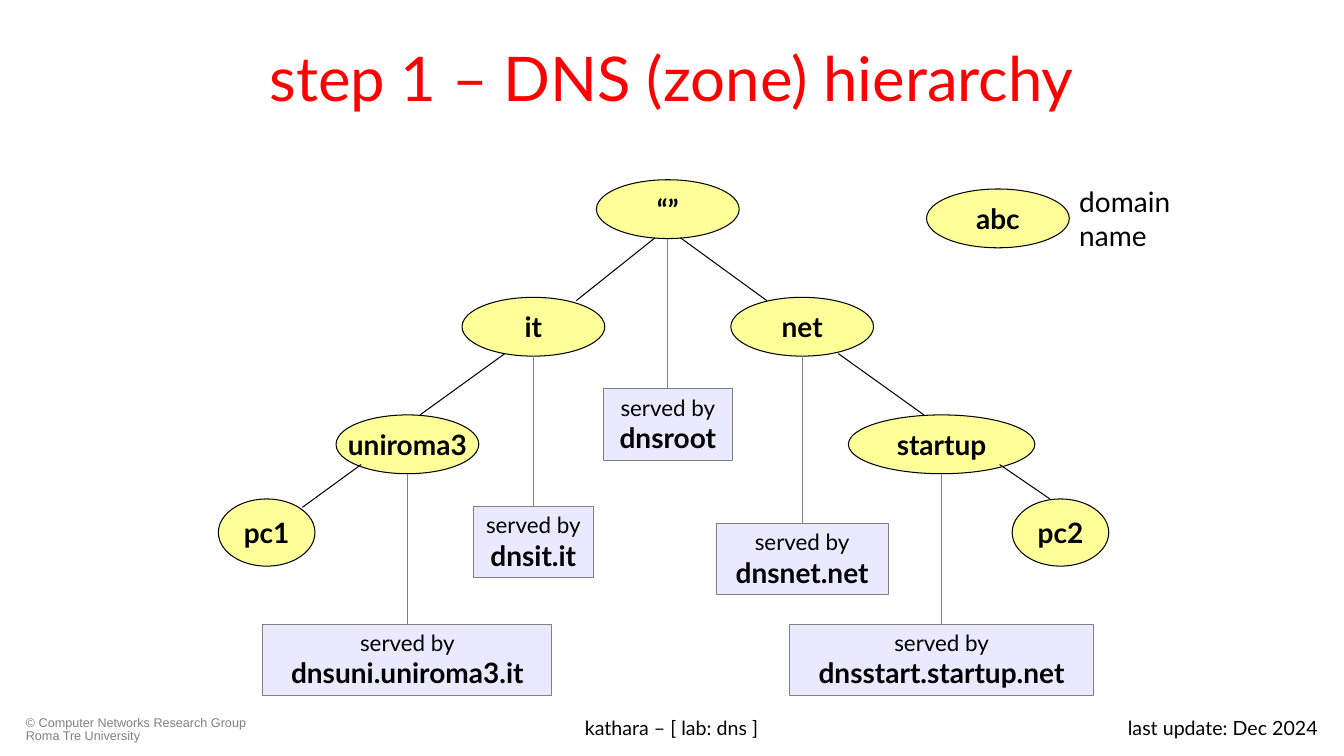
import pptx
import pptx.util
import pptx.dml.color
import pptx.enum.shapes
import pptx.enum.text
import pptx.oxml.ns
import lxml.etree

SHAPE = pptx.enum.shapes.MSO_SHAPE
ALIGN = pptx.enum.text.PP_ALIGN
ANCHOR = pptx.enum.text.MSO_ANCHOR
BLACK, GRAY, RED, YELLOW, LILAC = "000000", "808080", "FF0000", "FFFF99", "E9E9FF"

presentation = pptx.Presentation()
presentation.slide_width = pptx.util.Inches(13.33)
presentation.slide_height = pptx.util.Inches(7.5)
COLUMN = presentation.slide_width / 160
ROW = presentation.slide_height / 90
slide = presentation.slides.add_slide(presentation.slide_layouts[5])


def paint(fill, color):
    """Give a shape, line or font fill a solid hex colour."""
    fill.solid()
    fill.fore_color.rgb = pptx.dml.color.RGBColor.from_string(color)


def write(shape, text, size=20, color=BLACK, font="Lato", bold=False,
          align=ALIGN.CENTER, anchor=ANCHOR.TOP, wrap=True, spacing=1.0):
    """Add one paragraph to the shape, filling the empty first one if there is one."""
    frame = shape.text_frame
    frame.auto_size = pptx.enum.text.MSO_AUTO_SIZE.NONE
    frame.word_wrap = wrap
    frame.vertical_anchor = anchor
    paragraph = frame.add_paragraph() if frame.text else frame.paragraphs[0]
    paragraph.alignment = align
    paragraph.line_spacing = spacing
    run = paragraph.add_run()
    run.text = text
    run.font.name = font
    run.font.size = pptx.util.Pt(size)
    run.font.bold = bold
    paint(run.font.fill, color)


title = slide.shapes.title
title.left, title.top = int(8 * COLUMN), int(1.6 * ROW)
title.width, title.height = int(144 * COLUMN), int(15 * ROW)
write(title, "step 1 – DNS (zone) hierarchy", size=44, color=RED, anchor=ANCHOR.MIDDLE)

# Footer and legend texts: left, top, width, height in grid cells
notes = [
    ("© Computer Networks Research Group Roma Tre University", 1.9, 84.7, 29.9, 4.3,
     dict(size=9, color=GRAY, font="Arial", align=ALIGN.LEFT, spacing=0.9)),
    ("kathara – [ lab: dns ]", 40.9, 84.7, 78.1, 4.3, dict(size=14)),
    ("last update: Dec 2024", 121.6, 84.7, 36.5, 4.3, dict(size=14, align=ALIGN.RIGHT)),
    ("domain name", 127.3, 21.4, 15.1, 9.2, dict(align=ALIGN.LEFT)),
]
for text, left, top, width, height, text_format in notes:
    note = slide.shapes.add_textbox(
        int(left * COLUMN), int(top * ROW), int(width * COLUMN), int(height * ROW))
    write(note, text, **text_format)

# Domain names; tree levels are 14 rows apart
LEVELS = [21.4, 35.4, 49.4]
LEAF_TOP = 59.4
domains = {
    "“”": (71, LEVELS[0], 17, 7),
    "it": (55, LEVELS[1], 17, 7),
    "net": (87, LEVELS[1], 17, 7),
    "uniroma3": (40, LEVELS[2], 17, 7),
    "startup": (101, LEVELS[2], 22.2, 7),
    "pc1": (26, LEAF_TOP, 11.5, 8),
    "pc2": (120.5, LEAF_TOP, 11.5, 8),
    "abc": (110.3, 22.5, 17, 7),
}
cells = [(SHAPE.OVAL, box, YELLOW, BLACK, [(name, dict(bold=True, anchor=ANCHOR.MIDDLE))])
         for name, box in domains.items()]

lines = [
    (36, 60.4, 43, 55.3, BLACK),
    (50, 49.4, 60.1, 42.1, BLACK),
    (68.6, 35.8, 78, 28.3, BLACK),
    (125, 59.4, 119, 55.3, BLACK),
    (110, 49.4, 99.8, 42.1, BLACK),
    (91.3, 35.8, 81, 28.3, BLACK),
]

# Each server box hangs centred below its domain: domain, server, width, drop
servers = [
    ("“”", "dnsroot", 15.4, 17.9),
    ("it", "dnsit.it", 14.3, 17.9),
    ("net", "dnsnet.net", 20.5, 19.9),
    ("uniroma3", "dnsuni.uniroma3.it", 34.4, 17.9),
    ("startup", "dnsstart.startup.net", 36.2, 17.9),
]
for domain, server, width, drop in servers:
    left, top, domain_width, domain_height = domains[domain]
    center, bottom = left + domain_width / 2, top + domain_height
    lines.append((center, bottom, center, bottom + drop, GRAY))
    cells.append((SHAPE.RECTANGLE, (center - width / 2, bottom + drop, width, 8.5),
                  LILAC, GRAY, [("served by", dict(size=16)), (server, dict(bold=True))]))

for kind, (left, top, width, height), fill, outline, paragraphs in cells:
    shape = slide.shapes.add_shape(
        kind, int(left * COLUMN), int(top * ROW), int(width * COLUMN), int(height * ROW))
    shape.shadow.inherit = False
    paint(shape.fill, fill)
    paint(shape.line.fill, outline)
    shape.line.width = pptx.util.Pt(0.75)
    for text, text_format in paragraphs:
        write(shape, text, wrap=False, **text_format)

for start_x, start_y, end_x, end_y, color in lines:
    connector = slide.shapes.add_connector(
        pptx.enum.shapes.MSO_CONNECTOR.STRAIGHT,
        int(start_x * COLUMN), int(start_y * ROW), int(end_x * COLUMN), int(end_y * ROW))
    paint(connector.line.fill, color)
    connector.line.width = pptx.util.Pt(0.75)
    lxml.etree.SubElement(connector.element.spPr, pptx.oxml.ns.qn("a:effectLst"))

presentation.save("out.pptx")
